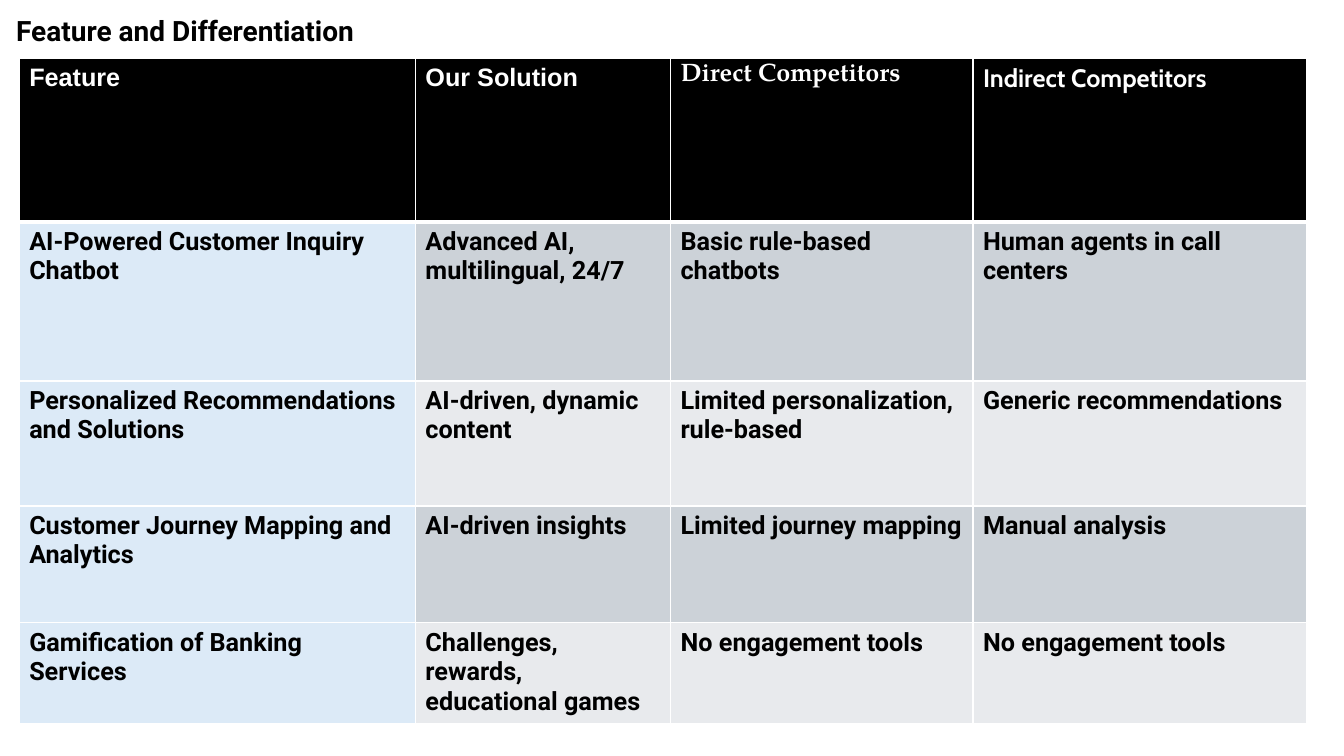
import pptx
import pptx.util
import pptx.dml.color
import pptx.enum.text
import pptx.oxml
from pptx.oxml import ns

Inches = pptx.util.Inches
RGBColor = pptx.dml.color.RGBColor

BLACK = RGBColor(0x00, 0x00, 0x00)
WHITE = RGBColor(0xFF, 0xFF, 0xFF)
BLUE = RGBColor(0xDC, 0xEA, 0xF7)
DARK = RGBColor(0xCC, 0xD2, 0xD8)
LIGHT = RGBColor(0xE8, 0xEA, 0xED)

BODY = "Roboto"
HEADS = ["Arial", "Arial", "TeX Gyre Pagella", "Cabin"]
COLS = [3.93, 2.53, 3, 3.31]
ROWS = [1.62, 1.58, 1.24, 1.16, 0.82]
DATA = [
    ["Feature", "Our Solution", "Direct Competitors", "Indirect Competitors"],
    ["AI-Powered Customer Inquiry Chatbot", "Advanced AI, multilingual, 24/7",
     "Basic rule-based chatbots", "Human agents in call centers"],
    ["Personalized Recommendations and Solutions", "AI-driven, dynamic content",
     "Limited personalization, rule-based", "Generic recommendations"],
    ["Customer Journey Mapping and Analytics", "AI-driven insights",
     "Limited journey mapping", "Manual analysis"],
    ["Gamification of Banking Services", "Challenges, rewards, educational games",
     "No engagement tools", "No engagement tools"],
]


class Deck:
    """Holds the shared text style and the current slide."""

    def __init__(self, prs):
        self.slide = prs.slides.add_slide(prs.slide_layouts[5])
        self.size = 18

    def style(self, frame, font, color, size=None):
        para = frame.paragraphs[0]
        para.alignment = pptx.enum.text.PP_ALIGN.LEFT
        for run in para.runs:
            run.font.name = font
            run.font.size = pptx.util.Pt(size or self.size)
            run.font.bold = True
            run.font.color.rgb = color

    def title(self, text, left, top, width, height):
        box = self.slide.shapes.title
        box.left, box.top = Inches(left), Inches(top)
        box.width, box.height = Inches(width), Inches(height)
        frame = box.text_frame
        frame.text = text
        frame.word_wrap = True
        frame.auto_size = pptx.enum.text.MSO_AUTO_SIZE.SHAPE_TO_FIT_TEXT
        frame.vertical_anchor = pptx.enum.text.MSO_ANCHOR.TOP
        self.style(frame, BODY, BLACK, 20)

    def edges(self, cell, base):
        """White cell borders, with the given width below."""
        props = cell._tc.get_or_add_tcPr()
        for spot, (side, width) in enumerate(zip("LRTB", (1, 1, 1, base))):
            line = pptx.oxml.parse_xml(
                f'<a:ln{side} {ns.nsdecls("a")} w="{pptx.util.Pt(width)}">'
                f'<a:solidFill><a:srgbClr val="{WHITE}"/></a:solidFill>'
                f'</a:ln{side}>')
            props.insert(spot, line)

    def cell(self, cell, text, font, color, fill, base):
        cell.text = text
        self.style(cell.text_frame, font, color)
        cell.fill.solid()
        cell.fill.fore_color.rgb = fill
        self.edges(cell, base)

    def table(self, left, top):
        grid = self.slide.shapes.add_table(
            len(ROWS), len(COLS), Inches(left), Inches(top),
            Inches(sum(COLS)), Inches(sum(ROWS))).table
        grid.horz_banding = False
        for col, width in zip(grid.columns, COLS):
            col.width = Inches(width)
        for row, height in zip(grid.rows, ROWS):
            row.height = Inches(height)
        for r, texts in enumerate(DATA):
            for c, text in enumerate(texts):
                if r == 0:
                    look = HEADS[c], WHITE, BLACK, 3
                else:
                    band = DARK if r % 2 else LIGHT
                    look = BODY, BLACK, band if c else BLUE, 1
                self.cell(grid.cell(r, c), text, *look)


def main():
    prs = pptx.Presentation()
    prs.slide_width, prs.slide_height = Inches(13.33), Inches(7.5)
    deck = Deck(prs)

    # Heading
    deck.title("Feature and Differentiation", 0.06, 0.08, 9.4, 0.44)

    # Comparison of features
    deck.table(0.19, 0.58)

    prs.save("out.pptx")


if __name__ == "__main__":
    main()
